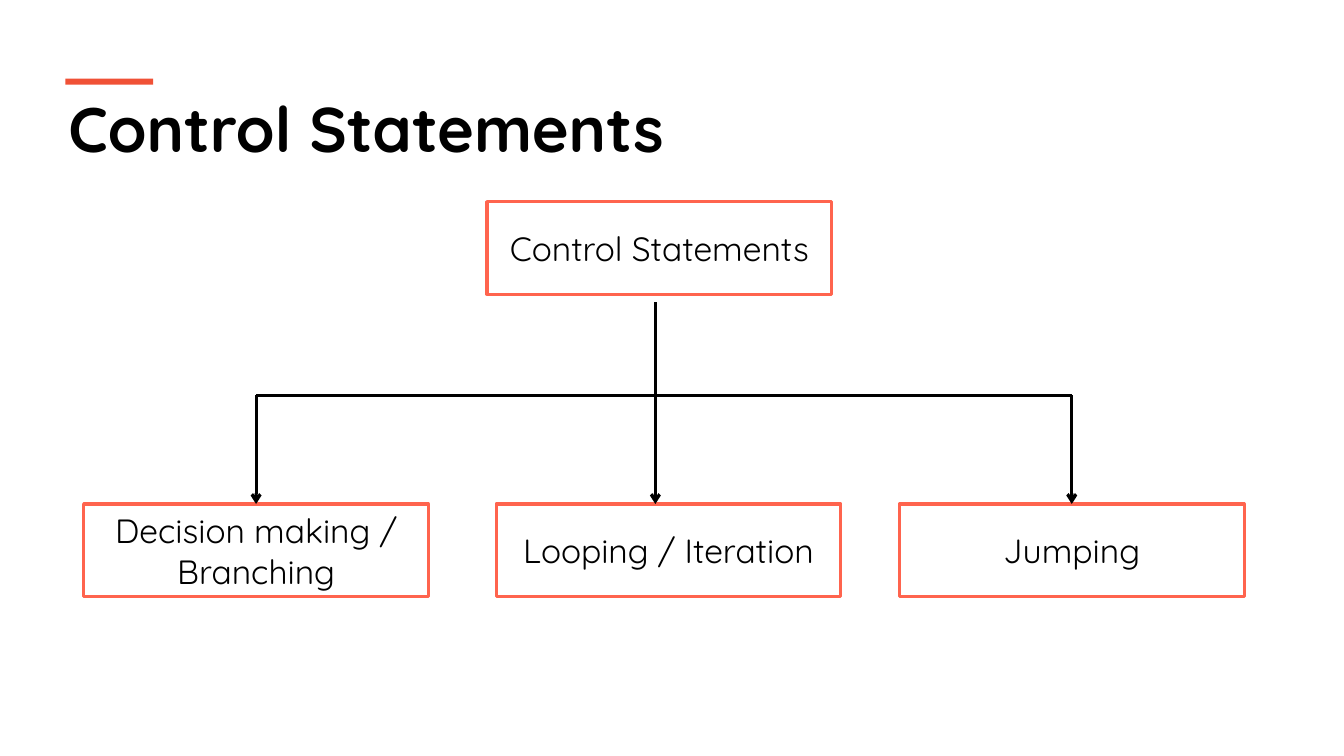
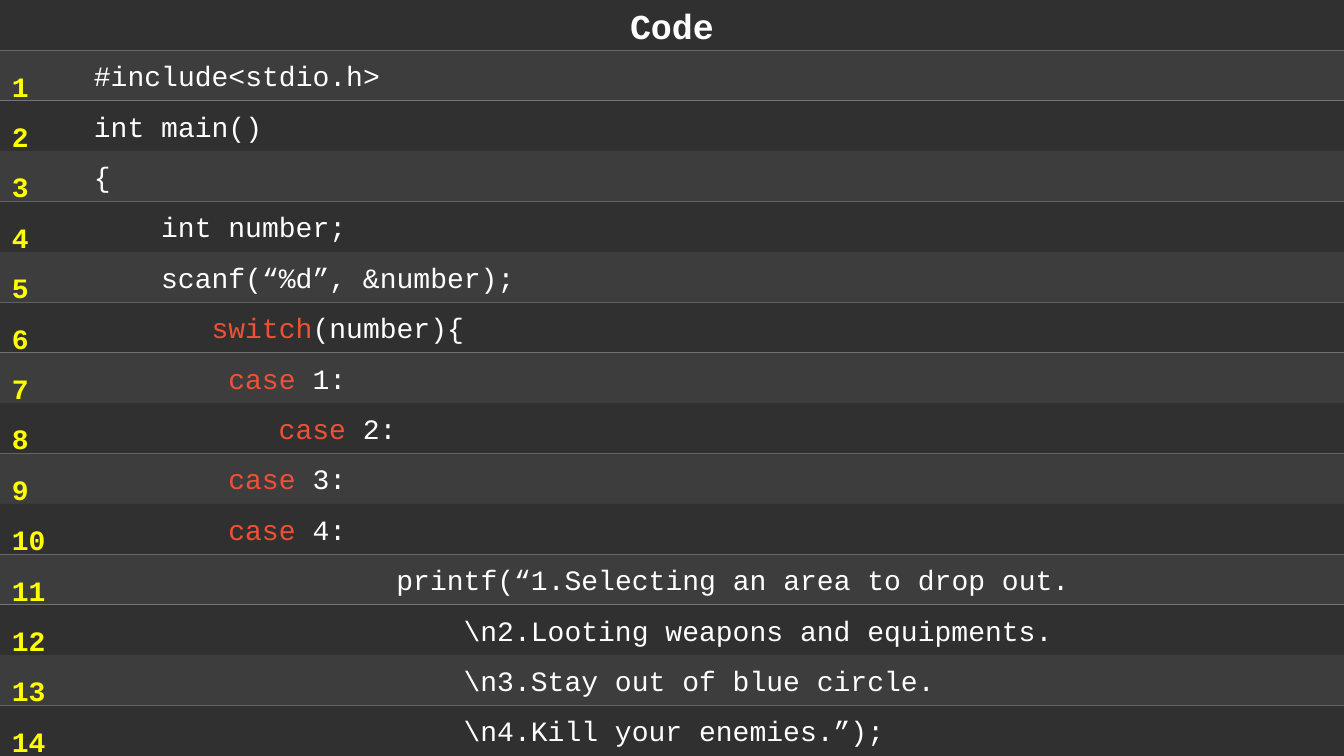
from dataclasses import dataclass

from pptx import Presentation
from pptx.dml.color import RGBColor
from pptx.enum.shapes import MSO_CONNECTOR, MSO_SHAPE
from pptx.enum.text import MSO_ANCHOR, PP_ALIGN
from pptx.oxml.ns import qn
from pptx.util import Inches, Pt
from lxml.etree import SubElement


@dataclass(frozen=True)
class Theme:
    heading_font: str = "Quicksand"
    code_font: str = "Courier New"
    title_size: int = 45
    node_size: int = 24
    code_title_size: int = 25
    code_size: int = 20
    line_width: float = 2.25
    black: str = "000000"
    white: str = "FFFFFF"
    accent: str = "F05136"
    border: str = "FF644E"
    number: str = "FFFF00"
    bands: tuple = ("303030", "3D3D3D")


THEME = Theme()
SLIDE_WIDTH, SLIDE_HEIGHT = 13.33, 7.5
COLUMN = 1 / 6  # width of one character of 20 pt code, in inches

# Indent in characters, text of the line
CODE = [
    (2, "#include<stdio.h>"),
    (2, "int main()"),
    (2, "{"),
    (6, "int number;"),
    (6, "scanf(“%d”, &number);"),
    (9, "switch(number){"),
    (10, "case 1:"),
    (13, "case 2:"),
    (10, "case 3:"),
    (10, "case 4:"),
    (20, "printf(“1.Selecting an area to drop out."),
    (24, r"\n2.Looting weapons and equipments."),
    (24, r"\n3.Stay out of blue circle."),
    (24, r"\n4.Kill your enemies.”);"),
]
KEYWORDS = ("switch", "case")


def write(shape, text, *, font, size, color, bold=False, align=PP_ALIGN.LEFT,
          anchor=MSO_ANCHOR.MIDDLE, indent=0, spacing=None, keywords=()):
    """Fill a shape with text, one paragraph a line; leading keywords are accented."""
    frame = shape.text_frame
    frame.word_wrap = True
    frame.vertical_anchor = anchor
    for index, line in enumerate(text.split("\n")):
        para = frame.add_paragraph() if index else frame.paragraphs[0]
        para.alignment = align
        if spacing:
            para.line_spacing = Pt(spacing)
        if indent:
            para._p.get_or_add_pPr().set("marL", str(Inches(indent)))
        keyword = next((word for word in keywords if line.startswith(word)), "")
        parts = [(keyword, THEME.accent), (line[len(keyword):], color)]
        for words, tint in parts:
            if words:
                span = para.add_run()
                span.text = words
                span.font.name = font
                span.font.size = Pt(size)
                span.font.bold = bold
                span.font.color.rgb = RGBColor.from_string(tint)


def add_box(page, left, top, width, height, fill=None, line=None):
    box = page.shapes.add_shape(MSO_SHAPE.RECTANGLE, Inches(left), Inches(top),
                                Inches(width), Inches(height))
    box.shadow.inherit = False
    if fill:
        box.fill.solid()
        box.fill.fore_color.rgb = RGBColor.from_string(fill)
    else:
        box.fill.background()
    if line:
        box.line.color.rgb = RGBColor.from_string(line)
        box.line.width = Pt(THEME.line_width)
    else:
        box.line.fill.background()
    return box


def add_text_box(page, left, top, width, height):
    return page.shapes.add_textbox(Inches(left), Inches(top),
                                   Inches(width), Inches(height))


def add_line(page, x1, y1, x2, y2, arrow=False):
    link = page.shapes.add_connector(MSO_CONNECTOR.STRAIGHT, Inches(x1), Inches(y1),
                                     Inches(x2), Inches(y2))
    link.line.color.rgb = RGBColor.from_string(THEME.black)
    link.line.width = Pt(THEME.line_width)
    if arrow:
        SubElement(link.line._get_or_add_ln(), qn("a:tailEnd"), type="arrow")
    SubElement(link._element.spPr, qn("a:effectLst"))
    return link


def add_title(page, text, left, top):
    title = add_text_box(page, left, top, 12.18, 0.86)
    write(title, text, font=THEME.heading_font, size=THEME.title_size,
          color=THEME.black, bold=True, anchor=MSO_ANCHOR.TOP)
    # Accent bar above the title
    add_box(page, left + 0.07, top - 0.06, 0.87, 0.06, fill=THEME.accent)


def add_node(page, text, left, top, width, height):
    node = add_box(page, left, top, width, height, line=THEME.border)
    write(node, text, font=THEME.heading_font, size=THEME.node_size,
          color=THEME.black, align=PP_ALIGN.CENTER)
    return node


def add_tree(page, root, children, left, top):
    """Root box over a row of child boxes; children are (text, offset from left)."""
    width, height = 3.42, 0.92
    bus, row = top + 1.92, top + 3
    stem = left + 5.67
    add_node(page, root, left + 4, top, width, height)
    nodes = [add_node(page, text, left + offset, row, width, height)
             for text, offset in children]
    first, last = (left + children[end][1] + width / 2 for end in (0, -1))
    # Stem and crossbar
    add_line(page, stem, top + 1, stem, bus)
    add_line(page, first, bus, last, bus)
    # Arrows: the outer ones meet the middle of their box, the inner one follows the stem
    for x, node in ((first, nodes[0]), (stem, None), (last, nodes[-1])):
        arrow = add_line(page, x, bus, x, row, arrow=True)
        if node is not None:
            arrow.end_connect(node, 0)


def add_code_listing(page, heading, lines, left, top, width, height):
    """Heading band and one striped band a line, with numbers down the left."""
    pitch = height / (len(lines) + 1)
    code = {"font": THEME.code_font, "size": THEME.code_size}
    header = add_box(page, left, top, width, pitch, fill=THEME.bands[0])
    write(header, heading, font=THEME.code_font, size=THEME.code_title_size,
          color=THEME.white, bold=True, align=PP_ALIGN.CENTER)
    # Code bands
    for number, (column, text) in enumerate(lines, start=1):
        band = add_box(page, left, top + number * pitch, width, pitch,
                       fill=THEME.bands[number % 2])
        write(band, text, color=THEME.white, indent=0.5 + column * COLUMN,
              keywords=KEYWORDS, **code)
    # Line numbers
    numbers = add_text_box(page, left + 0.02, top + pitch - 0.03, 0.56, height - pitch)
    write(numbers, "\n".join(str(n) for n in range(1, len(lines) + 1)),
          color=THEME.number, bold=True, anchor=MSO_ANCHOR.TOP,
          spacing=pitch * 72, **code)


def main():
    deck = Presentation()
    deck.slide_width, deck.slide_height = Inches(SLIDE_WIDTH), Inches(SLIDE_HEIGHT)
    blank = deck.slide_layouts[6]

    # Tree of control statements
    page = deck.slides.add_slide(blank)
    add_title(page, "Control Statements", 0.58, 0.84)
    add_tree(page, "Control Statements",
             [("Decision making / Branching", 0), ("Looping / Iteration", 4.09),
              ("Jumping", 8.09)], 0.83, 2)

    # Code listing
    page = deck.slides.add_slide(blank)
    add_code_listing(page, "Code", CODE, 0, 0, SLIDE_WIDTH, SLIDE_HEIGHT)

    deck.save("out.pptx")


if __name__ == "__main__":
    main()
